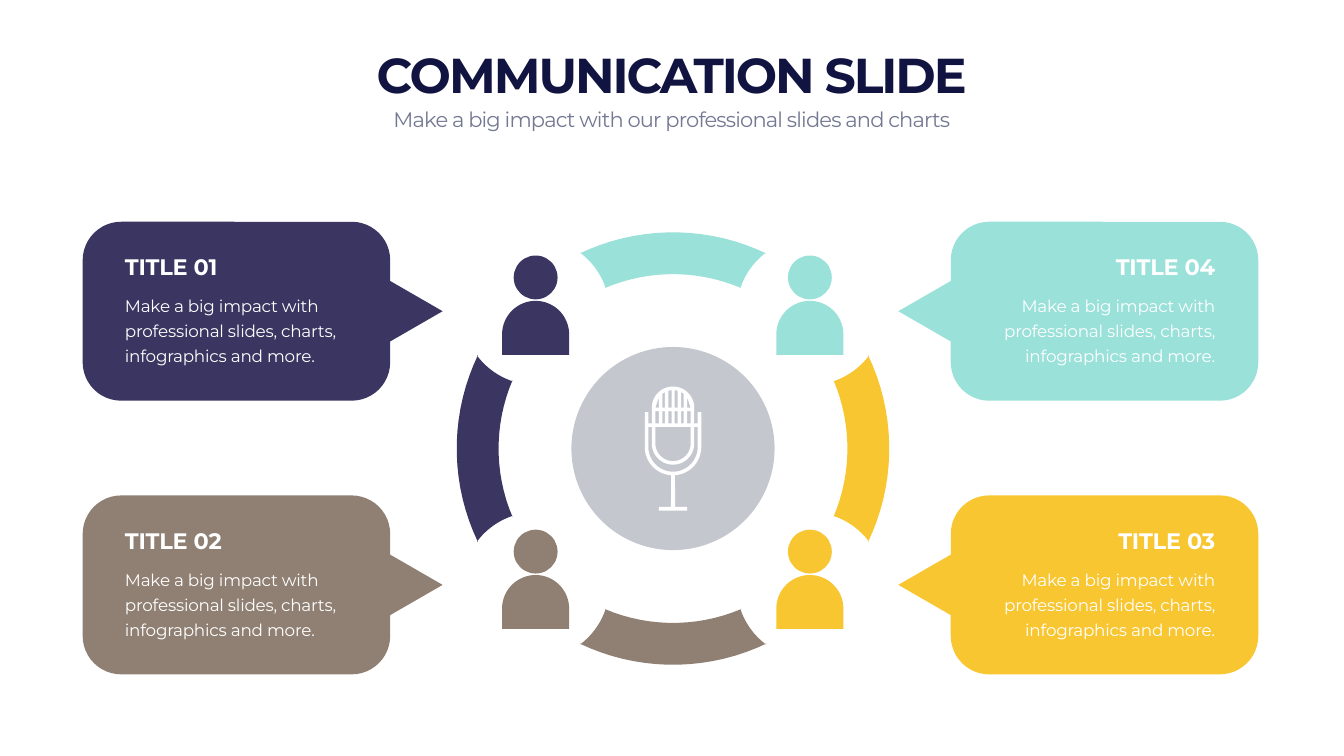
import math

import pptx
import pptx.dml.color
import pptx.enum.shapes
import pptx.enum.text
import pptx.util

# The slide is a grid of one-inch cells.
COLS, ROWS = 26.66, 15
CELL = 914400
FONT = "Montserrat"
NAVY, BROWN, MINT, GOLD = "3B3561", "8F8073", "99E1D9", "F8C630"
GREY, WHITE = "C4C8CE", "FFFFFF"
BLURB = "Make a big impact with professional slides, charts, infographics and more."
SHAPE = pptx.enum.shapes.MSO_SHAPE
ALIGN = pptx.enum.text.PP_ALIGN
ANCHOR = pptx.enum.text.MSO_ANCHOR
HUB = (13.35, 8.9)
REACH = 2.72  # from hub to each person, across and down


def tint(code):
    return pptx.dml.color.RGBColor.from_string(code)


def emu(*cells):
    return [round(c * CELL) for c in cells]


def paint(shape, code):
    shape.shadow.inherit = False
    shape.fill.solid()
    shape.fill.fore_color.rgb = tint(code)
    shape.line.fill.background()
    return shape


def preset(slide, kind, box, code):
    return paint(slide.shapes.add_shape(kind, *emu(*box)), code)


def arc(mid, radius, start, end):
    """Points along a circle, in degrees clockwise from the right."""
    count = max(2, round(abs(end - start) / 3))
    turns = [math.radians(start + (end - start) * i / count) for i in range(count + 1)]
    return [(mid[0] + radius * math.cos(t), mid[1] + radius * math.sin(t)) for t in turns]


def outline(slide, rings, code, base=(0, 0)):
    """Fill closed rings of points, offset by base; inner rings are holes."""
    rings = [[emu(base[0] + x, base[1] + y) for x, y in ring] for ring in rings]
    pen = slide.shapes.build_freeform(*rings[0][0])
    for i, ring in enumerate(rings):
        if i:
            pen.move_to(*ring[0])
        pen.add_line_segments(ring[1:], close=True)
    return paint(pen.convert_to_shape(), code)


def write(shape, text, box, size, color=WHITE, bold=False, align=ALIGN.LEFT,
          anchor=ANCHOR.TOP, track=-0.3, lead=None):
    shape.left, shape.top, shape.width, shape.height = emu(*box)
    frame = shape.text_frame
    frame.word_wrap = True
    frame.auto_size = pptx.enum.text.MSO_AUTO_SIZE.SHAPE_TO_FIT_TEXT
    frame.vertical_anchor = anchor
    para = frame.paragraphs[0]
    para.alignment = align
    para.space_before = pptx.util.Pt(0)
    if lead:
        para.line_spacing = pptx.util.Pt(lead)
    run = para.add_run()
    run.text = text
    run.font.name, run.font.size, run.font.bold = FONT, pptx.util.Pt(size), bold
    run.font.color.rgb = tint(color)
    run._r.get_or_add_rPr().set("spc", str(round(track * 100)))


def header(slide, box):
    left, top, width, _ = box
    title, lead = slide.placeholders
    write(title, "COMMUNICATION SLIDE", (left, top, width, 1.28), 70, color="111340",
          bold=True, align=ALIGN.CENTER, anchor=ANCHOR.BOTTOM, track=-2.9)
    write(lead, "Make a big impact with our professional slides and charts",
          (left, top + 1.24, width, 0.61), 30, color="747993",
          align=ALIGN.CENTER, track=-1.2)


def callout(slide, box, title, code, right):
    """Speech box whose tail points to the hub."""
    left, top, width, height = box
    card = preset(slide, SHAPE.ROUNDED_RECTANGLE, box, code)
    card.adjustments[0] = 0.215
    edge, tip = (left, left - 1.04) if right else (left + width, left + width + 1.04)
    mid = top + height / 2
    outline(slide, [[(tip, mid), (edge, mid - 0.6), (edge, mid + 0.6)]], code)
    inset = left + (0.66 if right else 0.74)
    align = ALIGN.RIGHT if right else ALIGN.LEFT
    spot = (inset, top + 0.57, 4.68, 0.64)
    write(slide.shapes.add_textbox(*emu(*spot)), title, spot, 32,
          bold=True, align=align, anchor=ANCHOR.BOTTOM)
    spot = (inset, top + 1.32, 4.68, 1.57)
    write(slide.shapes.add_textbox(*emu(*spot)), BLURB, spot, 24, align=align, lead=36)


def person(slide, box, code):
    left, top, width, height = box
    head, half = 0.87, width / 2
    mid = left + half
    preset(slide, SHAPE.OVAL, (mid - head / 2, top, head, head), code)
    dome = arc((mid, top + 0.9 + half), half, 180, 360)
    foot = top + height
    outline(slide, [dome + [(left + width, foot), (left, foot)]], code)


def band(slide, hub, turn, code):
    """Ring segment with ends scooped out around the two nearest people."""
    far = REACH * math.sqrt(2)
    ahead, behind = [arc((0, 0), far, turn + d, turn + d)[0] for d in (45, -45)]
    ring = (arc((0, 0), 4.29, turn - 25.6, turn + 25.6)
            + arc(ahead, 1.46, turn - 37, turn - 71.3)
            + arc((0, 0), 3.46, turn + 23.15, turn - 23.15)
            + arc(behind, 1.46, turn + 71.3, turn + 37))
    outline(slide, [ring], code, hub)


def mic(slide, hub):
    stand = [(0.04, 1.16), (0.28, 1.16), (0.28, 1.23),
             (-0.28, 1.23), (-0.28, 1.16), (-0.04, 1.16)]
    body = ([(0.56, -0.72)] + arc((0, -0.03), 0.56, 0, 86) + stand
            + arc((0, -0.03), 0.56, 94, 180)
            + [(-0.56, -0.72), (-0.49, -0.72), (-0.49, -0.5), (-0.42, -0.5)]
            + arc((0, -0.81), 0.42, 180, 360)
            + [(0.42, -0.5), (0.49, -0.5), (0.49, -0.72)])
    gap = ([(0.49, -0.43)] + arc((0, -0.03), 0.49, 0, 180) + [(-0.49, -0.43), (-0.42, -0.43)]
           + arc((0, -0.1), 0.42, 180, 0) + [(0.42, -0.43)])
    cup = [(-0.35, -0.43), (0.35, -0.43)] + arc((0, -0.1), 0.35, 0, 180)
    rings = [body, gap, cup]
    for near, far in ((0.03, 0.09), (0.16, 0.21), (0.28, 0.35)):
        for a, b in ((near, far), (-far, -near)):
            rings.append([(a, -0.74), (b, -0.74), (b, -0.5), (a, -0.5)])
            tops = [(x, -0.81 - math.sqrt(max(0, 0.35 ** 2 - x * x))) for x in (a, b)]
            rings.append(tops + [(b, -0.81), (a, -0.81)])
    outline(slide, rings, WHITE, hub)


def wheel(slide, hub):
    x, y = hub
    disc = 4.03
    preset(slide, SHAPE.OVAL, (x - disc / 2, y - disc / 2, disc, disc), GREY)
    mic(slide, hub)
    for i, code in enumerate((GOLD, BROWN, NAVY, MINT)):
        band(slide, hub, 90 * i, code)
    for dx, dy, code in ((-1, -1, NAVY), (-1, 1, BROWN), (1, -1, MINT), (1, 1, GOLD)):
        box = (x + dx * REACH - 0.67, y + dy * REACH - 1.11, 1.33, 1.97)
        person(slide, box, code)


def main():
    deck = pptx.Presentation()
    deck.slide_width, deck.slide_height = emu(COLS, ROWS)
    slide = deck.slides.add_slide(deck.slide_layouts[0])
    header(slide, (1.66, 0.82, 23.33, 1.85))
    wheel(slide, HUB)
    cards = (("TITLE 01", NAVY, 0, 0), ("TITLE 02", BROWN, 0, 1),
             ("TITLE 04", MINT, 1, 0), ("TITLE 03", GOLD, 1, 1))
    for title, code, col, row in cards:
        box = (1.64 + 17.22 * col, 4.4 + 5.43 * row, 6.1, 3.55)
        callout(slide, box, title, code, right=col == 1)
    deck.save("out.pptx")


if __name__ == "__main__":
    main()
